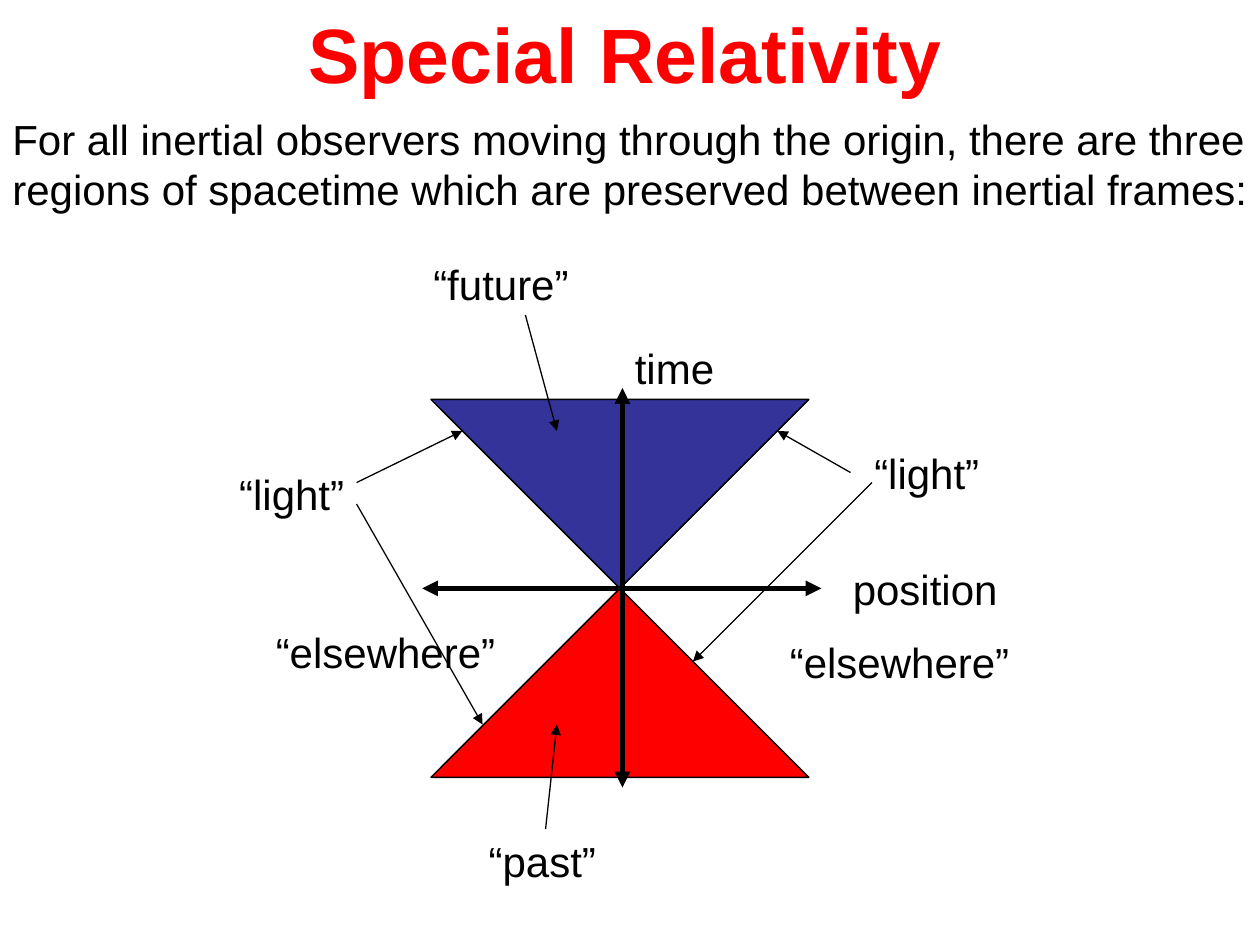
from dataclasses import dataclass

from lxml import etree
from pptx import Presentation
from pptx.dml.color import RGBColor
from pptx.enum.shapes import MSO_CONNECTOR
from pptx.enum.text import MSO_AUTO_SIZE
from pptx.oxml.ns import qn
from pptx.util import Inches, Pt

STRAIGHT = MSO_CONNECTOR.STRAIGHT
FIT_SHAPE = MSO_AUTO_SIZE.SHAPE_TO_FIT_TEXT


@dataclass(frozen=True)
class Theme:
    font: str = "Arial"
    ink: RGBColor = RGBColor(0x00, 0x00, 0x00)
    red: RGBColor = RGBColor(0xFF, 0x00, 0x00)
    blue: RGBColor = RGBColor(0x33, 0x33, 0x99)
    title_size: int = 44
    body_size: int = 24
    thin: float = 0.75
    thick: float = 3


@dataclass(frozen=True)
class Box:
    left: float
    top: float
    width: float
    height: float


THEME = Theme()
CONE_REACH = 1.5
LABEL_HEIGHT = 0.5

AXES = [((-1.57, 0), (1.6, 0)), ((0.02, -1.59), (0.02, 1.58))]
LIGHT_LINES = [((-1.42, 1.42), (1.5, -1.5)), ((-1.42, -1.42), (1.5, 1.5))]
POINTERS = [
    ((1.83, -0.92), (1.25, -1.25)),
    ((2, -0.84), (0.58, 0.58)),
    ((-2.09, -0.84), (-1.25, -1.25)),
    ((-2.09, -0.67), (-1.09, 1.08)),
    ((-0.59, 1.91), (-0.5, 1.08)),
    ((-0.75, -2.17), (-0.5, -1.25)),
]
LABELS = [
    ("position", 1.75, -0.25, 1.4),
    ("time", 0.02, -2, 0.88),
    ("“light”", 1.92, -1.17, 1.08),
    ("“light”", -3.12, -1, 1.08),
    ("“past”", -1.14, 1.91, 1.1),
    ("“future”", -1.58, -2.67, 1.32),
    ("“elsewhere”", -2.83, 0.25, 1.99),
    ("“elsewhere”", 1.25, 0.33, 1.99),
]


def add_text(page, box, lines, size, color, bold=False):
    shape = page.shapes.add_textbox(
        Inches(box.left), Inches(box.top), Inches(box.width), Inches(box.height)
    )
    frame = shape.text_frame
    frame.word_wrap = False
    frame.auto_size = FIT_SHAPE
    for index, line in enumerate(lines):
        para = frame.add_paragraph() if index else frame.paragraphs[0]
        span = para.add_run()
        span.text = line
        span.font.name = THEME.font
        span.font.size = Pt(size)
        span.font.bold = bold
        span.font.color.rgb = color


def add_line(page, origin, start, end, width, ends=()):
    x, y = origin
    line = page.shapes.add_connector(
        STRAIGHT,
        Inches(x + start[0]), Inches(y + start[1]),
        Inches(x + end[0]), Inches(y + end[1]),
    )
    line.line.color.rgb = THEME.ink
    line.line.width = Pt(width)
    outline = line.line._get_or_add_ln()
    for end_name in ends:
        etree.SubElement(outline, qn(f"a:{end_name}"), type="triangle")
    etree.SubElement(line._element.spPr, qn("a:effectLst"))


def add_cone(page, origin, direction, color):
    x, y = origin
    base = Inches(y + direction * CONE_REACH)
    builder = page.shapes.build_freeform(Inches(x), Inches(y))
    builder.add_line_segments(
        [(Inches(x + CONE_REACH), base), (Inches(x - CONE_REACH), base)], close=True
    )
    cone = builder.convert_to_shape()
    cone.shadow.inherit = False
    cone.fill.solid()
    cone.fill.fore_color.rgb = color
    cone.line.color.rgb = THEME.ink
    cone.line.width = Pt(THEME.thin)


def add_heading(page, box):
    add_text(page, box, ["Special Relativity"], THEME.title_size, THEME.red, bold=True)


def add_statement(page, box):
    lines = [
        "For all inertial observers moving through the origin, there are three",
        "regions of spacetime which are preserved between inertial frames:",
    ]
    add_text(page, box, lines, THEME.body_size, THEME.ink)


def add_light_cone_diagram(page, box):
    origin = (box.left + 3.12, box.top + 2.67)
    add_cone(page, origin, -1, THEME.blue)
    add_cone(page, origin, 1, THEME.red)
    for start, end in AXES:
        add_line(page, origin, start, end, THEME.thick, ("headEnd", "tailEnd"))
    for start, end in LIGHT_LINES:
        add_line(page, origin, start, end, THEME.thin)
    for start, end in POINTERS:
        add_line(page, origin, start, end, THEME.thin, ("tailEnd",))
    for text, dx, dy, width in LABELS:
        label_box = Box(origin[0] + dx, origin[1] + dy, width, LABEL_HEIGHT)
        add_text(page, label_box, [text], THEME.body_size, THEME.ink)


def main():
    deck = Presentation()
    deck.slide_width = Inches(10)
    deck.slide_height = Inches(7.5)
    page = deck.slides.add_slide(deck.slide_layouts[6])
    add_heading(page, Box(2.35, 0, 5.23, 0.84))
    add_statement(page, Box(0, 0.85, 10.1, 0.9))
    add_light_cone_diagram(page, Box(1.8, 2, 6.31, 5.08))
    deck.save("out.pptx")


if __name__ == "__main__":
    main()
